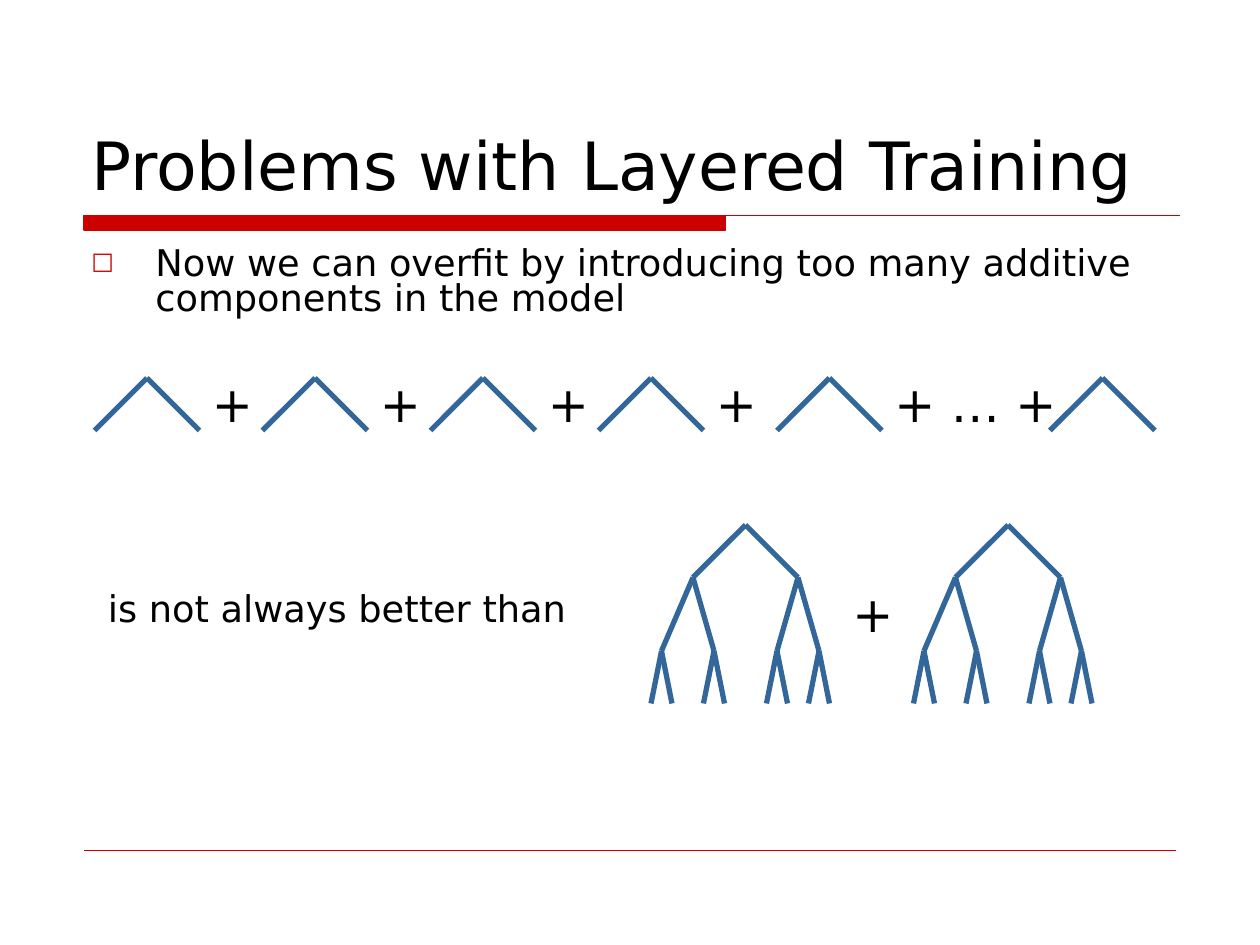
from dataclasses import dataclass

from lxml import etree
from pptx import Presentation
from pptx import util as u
from pptx.dml.color import RGBColor
from pptx.enum import shapes, text
from pptx.oxml.ns import qn

PX = 7620  # EMU, 120 px to the inch


@dataclass(frozen=True)
class Theme:
    font: str = "DejaVu Sans"
    ink: str = "000000"
    accent: str = "CC0000"
    branch: str = "336699"
    title: int = 38
    body: int = 21
    sign: int = 28


THEME = Theme()

TITLE = "Problems with Layered Training"
BULLET = "Now we can overfit by introducing too many additive components in the model"
COMPARISON = "is not always better than"

# Root of each stump, with the sign that follows it and the sign's box width
STUMP_TOP = 360
STUMPS = [
    (140, "+", 70), (300, "+", 70), (460, "+", 70),
    (620, "+", 70), (790, "+ … +", 180), (1050, None, 0),
]
TREE_TOP = 500
TREES = [710, 960]
TREE_SIGN = (800, 550, 70, 68)

# Nodes are (x offset from root, y offset from root, children)
STUMP = (0, 0, [(-50, 50, []), (50, 50, [])])


def split_node(x):
    return x, 120, [(x - 10, 170, []), (x + 10, 170, [])]


TREE = (0, 0, [
    (-50, 50, [split_node(-80), split_node(-30)]),
    (50, 50, [split_node(30), split_node(70)]),
])


def place(sp, *box):
    sp.left, sp.top, sp.width, sp.height = (n * PX for n in box)


def write(sp, words, size, anchor=text.MSO_ANCHOR.TOP):
    """Set one left-aligned paragraph in a shape and return it."""
    tf = sp.text_frame
    tf.text = words
    tf.word_wrap = True
    tf.auto_size = text.MSO_AUTO_SIZE.NONE
    tf.vertical_anchor = anchor
    p = tf.paragraphs[0]
    p.alignment = text.PP_ALIGN.LEFT
    font = p.runs[0].font
    font.name, font.size = THEME.font, u.Pt(size)
    font.color.rgb = RGBColor.from_string(THEME.ink)
    return p


def format_body(p, hanging):
    p.line_spacing = 0.8
    p.space_before = u.Pt(5.2)
    pPr = p._p.get_or_add_pPr()
    pPr.set("marL", str(61 * PX))
    pPr.set("indent", str(-61 * PX if hanging else 0))
    return pPr


def add_bullet(pPr):
    color = etree.SubElement(pPr, qn("a:buClr"))
    etree.SubElement(color, qn("a:srgbClr"), val=THEME.accent)
    etree.SubElement(pPr, qn("a:buSzPct"), val="65000")
    etree.SubElement(pPr, qn("a:buFont"), typeface=THEME.font)
    etree.SubElement(pPr, qn("a:buChar"), char="□")


def add_text(s, words, size, *box):
    sp = s.shapes.add_textbox(0, 0, 0, 0)
    place(sp, *box)
    return write(sp, words, size)


def add_line(s, start, end, color, width):
    line = s.shapes.add_connector(
        shapes.MSO_CONNECTOR.STRAIGHT, *(n * PX for n in (*start, *end)))
    line.line.color.rgb = RGBColor.from_string(color)
    line.line.width = u.Pt(width)
    etree.SubElement(line._element.spPr, qn("a:effectLst"))


def add_title_rule(s):
    """Draw the thick bar and the thin line that runs on from its top edge."""
    fb = s.shapes.build_freeform(80, 205, scale=PX)
    fb.add_line_segments([(691, 205), (691, 219), (80, 219)], close=True)
    fb.move_to(80, 205)
    fb.add_line_segments([(1124, 205)], close=False)
    sp = fb.convert_to_shape()
    sp.shadow.inherit = False
    sp.fill.solid()
    sp.fill.fore_color.rgb = RGBColor.from_string(THEME.accent)
    sp.line.color.rgb = RGBColor.from_string(THEME.accent)
    sp.line.width = u.Pt(0.75)


def add_tree(s, left, top, node):
    x, y, children = node
    for child in children:
        add_line(s, (left + x, top + y), (left + child[0], top + child[1]),
                 THEME.branch, 3)
        add_tree(s, left, top, child)


def main():
    prs = Presentation()
    prs.slide_width, prs.slide_height = 1200 * PX, 900 * PX
    s = prs.slides.add_slide(prs.slide_layouts[1])

    add_title_rule(s)
    add_line(s, (80, 810), (1120, 810), THEME.accent, 0.25)

    title, body = s.placeholders
    place(title, 75, 40, 1050, 160)
    write(title, TITLE, THEME.title, text.MSO_ANCHOR.BOTTOM)
    place(body, 75, 230, 1050, 80)
    add_bullet(format_body(write(body, BULLET, THEME.body), hanging=True))

    for x in TREES:
        add_tree(s, x, TREE_TOP, TREE)
    add_text(s, "+", THEME.sign, *TREE_SIGN)

    for x, sign, width in STUMPS:
        add_tree(s, x, STUMP_TOP, STUMP)
        if sign:
            add_text(s, sign, THEME.sign, x + 50, STUMP_TOP - 10, width, 68)

    p = add_text(s, COMPARISON, THEME.body, 30, 560, 540, 80)
    format_body(p, hanging=False)

    prs.save("out.pptx")


if __name__ == "__main__":
    main()
